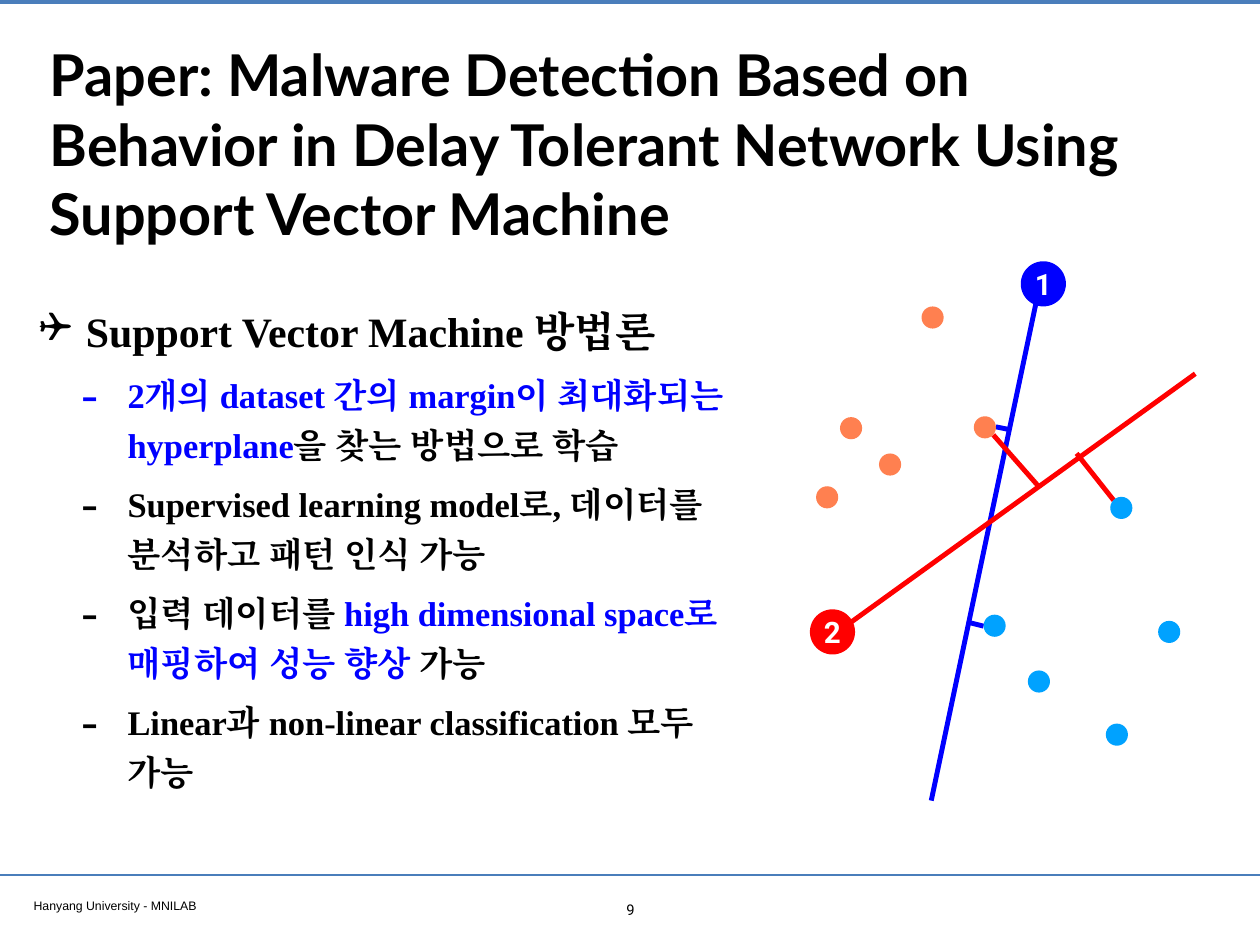
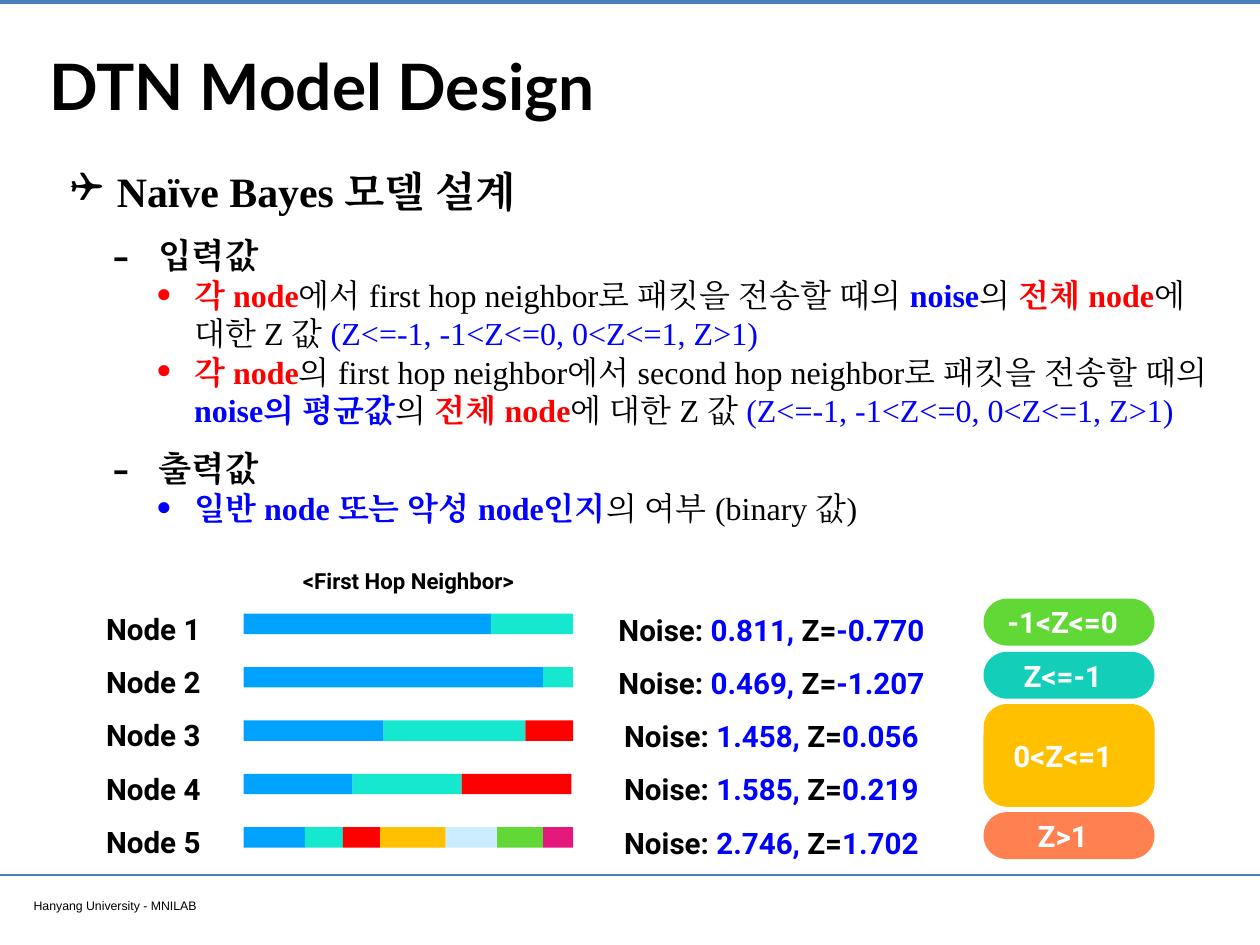
"""Build two slides on malware detection in delay tolerant networks."""
from pptx import Presentation, util as u
from pptx.dml.color import RGBColor
from pptx.enum import shapes, text
from pptx.oxml.ns import qn
from lxml import etree

COLORS = {
    "black": "000000", "white": "FFFFFF", "rule": "4A7EBB",
    "blue": "0000FF", "red": "FF0000", "sky": "00A2FF", "teal": "16E7CF",
    "sea": "13CFB9", "amber": "FFC000", "ice": "CCECFF", "green": "61D836",
    "pink": "E4177D", "coral": "FF8050",
}
SHAPE, ALIGN, ANCHOR = shapes.MSO_SHAPE, text.PP_ALIGN, text.MSO_ANCHOR
INSET = 0.05
BODY_LEVELS = [
    {"size": 34, "left": 0.53, "hang": 0.53, "char": "❑", "pct": 100, "font": "Wingdings",
     "spacing": 1.2, "before": 8},
    {"size": 28, "left": 1, "hang": 0.52, "char": "-", "pct": 145, "font": "Times New Roman",
     "spacing": 1.2, "before": 8},
    {"size": 26, "left": 1.4, "hang": 0.43, "char": "•", "pct": 145, "font": "Times New Roman",
     "spacing": 1, "before": 0},
]


def add_text(s, box, paragraphs, size, font, align=ALIGN.LEFT, anchor=ANCHOR.TOP,
             spacing=1, wrap=True):
    sp = s.shapes.add_textbox(*map(u.Inches, box))
    tf = sp.text_frame
    tf.word_wrap, tf.vertical_anchor = wrap, anchor
    tf.margin_left = tf.margin_right = tf.margin_top = tf.margin_bottom = u.Inches(INSET)
    for i, runs in enumerate(paragraphs):
        p = tf.add_paragraph() if i else tf.paragraphs[0]
        p.alignment, p.line_spacing = align, spacing
        for words, color, bold in runs:
            r = p.add_run()
            r.text = words
            r.font.name, r.font.size, r.font.bold = font, u.Pt(size), bold
            r.font.color.rgb = RGBColor.from_string(COLORS[color])
            etree.SubElement(r._r.get_or_add_rPr(), qn("a:ea"), typeface=font)
    return tf


def add_block(s, kind, box, color, label="", right=0):
    sp = s.shapes.add_shape(kind, *map(u.Inches, box))
    sp.shadow.inherit = False
    sp.fill.solid()
    sp.fill.fore_color.rgb = RGBColor.from_string(COLORS[color])
    sp.line.fill.background()
    if label:
        tf = sp.text_frame
        tf.word_wrap, tf.vertical_anchor = False, ANCHOR.MIDDLE
        tf.margin_left = tf.margin_top = tf.margin_bottom = 0
        tf.margin_right = u.Inches(right)
        tf.text = label
        p = tf.paragraphs[0]
        p.alignment = ALIGN.CENTER
        font = p.runs[0].font
        font.name, font.size, font.bold = "Roboto", u.Pt(24), True
        font.color.rgb = RGBColor.from_string(COLORS["white"])
    return sp


Z_RANGES = ("(Z<=-1, -1<Z<=0, 0<Z<=1, Z>1)", "blue", False)
FRAME_LINES = [
    (0, 0.02, 14.22, 0.02, "rule", 3.2),
    (0, 9.88, 14.22, 9.88, "rule", 2),
]
SLIDES = [
    {
        "title": "Paper: Malware Detection Based on Behavior in Delay Tolerant Network "
                 "Using Support Vector Machine",
        "title_size": 46.8, "title_height": 2.67,
        "lines": [
            (10.51, 9.04, 11.72, 3.29, "blue", 4),
            (9.46, 7.13, 13.49, 4.22, "red", 4),
            (11.72, 5.49, 11.21, 4.91, "red", 4),
            (12.57, 5.65, 12.15, 5.12, "red", 4),
            (11.39, 4.85, 11.24, 4.82, "blue", 4),
            (11.1, 7.07, 10.94, 7.03, "blue", 4),
        ],
        "body_box": (0.39, 3.29, 8.13, 5.85),
        "body": [
            (0, [("Support Vector Machine 방법론", "black", True)]),
            (1, [("2개의 dataset 간의 margin이 최대화되는 hyperplane", "blue", True),
                 ("을 찾는 방법으로 학습", "black", True)]),
            (1, [("Supervised learning model로, 데이터를 분석하고 패턴 인식 가능", "black", True)]),
            (1, [("입력 데이터를 ", "black", True),
                 ("high dimensional space로 매핑하여 성능 향상 ", "blue", True),
                 ("가능", "black", True)]),
            (1, [("Linear과 non-linear classification 모두 가능", "black", True)]),
        ],
    },
    {
        "title": "DTN Model Design",
        "title_size": 52, "title_height": 1.35,
        "lines": [],
        "body_box": (0.74, 1.71, 13.28, 4.56),
        "body": [
            (0, [("Naïve Bayes 모델 설계", "black", True)]),
            (1, [("입력값", "black", True)]),
            (2, [("각 node", "red", True),
                 ("에서 first hop neighbor로 패킷을 전송할 때의 ", "black", False),
                 ("noise", "blue", True), ("의 ", "black", False),
                 ("전체 node", "red", True), ("에 대한 Z 값 ", "black", False), Z_RANGES]),
            (2, [("각 node", "red", True),
                 ("의 first hop neighbor에서 second hop neighbor로 패킷을 전송할 때의 ",
                  "black", False),
                 ("noise의 평균값", "blue", True), ("의 ", "black", False),
                 ("전체 node", "red", True), ("에 대한 Z 값 ", "black", False), Z_RANGES]),
            (1, [("출력값", "black", True)]),
            (2, [("일반 node 또는 악성 node인지", "blue", True),
                 ("의 여부 (binary 값)", "black", False)]),
        ],
    },
]

prs = Presentation()
prs.slide_width, prs.slide_height = u.Inches(14.22), u.Inches(10.67)

for content in SLIDES:
    s = prs.slides.add_slide(prs.slide_layouts[6])
    for *ends, color, width in FRAME_LINES + content["lines"]:
        line = s.shapes.add_connector(shapes.MSO_CONNECTOR.STRAIGHT, *map(u.Inches, ends))
        line.line.color.rgb = RGBColor.from_string(COLORS[color])
        line.line.width = u.Pt(width)
        etree.SubElement(line._element.spPr, qn("a:effectLst"))
    add_text(s, (0.33, 10.09, 5.46, 0.26), [[("Hanyang University - MNILAB", "black", False)]],
             10, "Arial")
    add_text(s, (0.51, 0.28, 13.21, content["title_height"]),
             [[(content["title"], "black", True)]],
             content["title_size"], "Lato", anchor=ANCHOR.MIDDLE)
    tf = add_text(s, content["body_box"], [runs for _, runs in content["body"]],
                  28, "Times New Roman")
    for i, (p, (level, _)) in enumerate(zip(tf.paragraphs, content["body"])):
        style = BODY_LEVELS[level]
        p.level, p.line_spacing = level, style["spacing"]
        p.space_before = u.Pt(style["before"] if i else 0)
        pPr = p._p.get_or_add_pPr()
        pPr.set("marL", str(u.Inches(style["left"])))
        pPr.set("indent", str(-u.Inches(style["hang"])))
        etree.SubElement(pPr, qn("a:buSzPct"), val=str(style["pct"] * 1000))
        etree.SubElement(pPr, qn("a:buFont"), typeface=style["font"])
        etree.SubElement(pPr, qn("a:buChar"), char=style["char"])
        for r in p.runs:
            r.font.size = u.Pt(style["size"])

svm, dtn = prs.slides

add_text(svm, (6.92, 10.12, 0.39, 0.31), [[("9", "black", False)]], 12, "Roboto", ALIGN.CENTER)
DOTS = {
    "sky": [(12.53, 5.61), (11.1, 6.94), (11.6, 7.57), (13.07, 7.01), (12.48, 8.17)],
    "coral": [(9.48, 4.71), (9.21, 5.49), (9.92, 5.12), (10.99, 4.7), (10.4, 3.46)],
}
for color, corners in DOTS.items():
    for x, y in corners:
        add_block(svm, SHAPE.OVAL, (x, y, 0.25, 0.25), color)
for label, x, y, color in [("2", 9.14, 6.88, "red"), ("1", 11.52, 2.95, "blue")]:
    add_block(svm, SHAPE.OVAL, (x, y, 0.51, 0.51), color, label)

NODES = [
    ("0.811", "-0.770", [2.79, 0.93]),
    ("0.469", "-1.207", [3.38, 0.34]),
    ("1.458", "0.056", [1.58, 1.6, 0.54]),
    ("1.585", "0.219", [1.23, 1.23, 1.24]),
    ("2.746", "1.702", [0.69, 0.43, 0.42, 0.74, 0.58, 0.52, 0.34]),
]
HOP_COLORS = ["sky", "teal", "red", "amber", "ice", "green", "pink"]
FIRST_BAR, LAST_BAR = 6.93, 9.34
row_step = (LAST_BAR - FIRST_BAR) / (len(NODES) - 1)
for row, (_, _, widths) in enumerate(NODES):
    x = 2.75
    for width, color in zip(widths, HOP_COLORS):
        add_block(dtn, SHAPE.RECTANGLE, (x, FIRST_BAR + row_step * row, width, 0.23), color)
        x += width

node_names = [[(f"Node {n}", "black", True)] for n in range(1, len(NODES) + 1)]
noise_values = [
    [("Noise: ", "black", True), (f"{noise}, ", "blue", True),
     ("Z=", "black", True), (z, "blue", True)]
    for noise, z, _ in NODES
]
for box, paragraphs, size, spacing, wrap in [
    ((1.08, 6.63, 1.3, 3.14), node_names, 24, 1.5, False),
    ((3.2, 6.35, 2.82, 0.42), [[("<First Hop Neighbor>", "black", True)]], 18, 1, False),
    ((6.73, 6.64, 3.95, 3.14), noise_values, 24, 1.5, True),
]:
    add_text(dtn, box, paragraphs, size, "Roboto", ALIGN.CENTER, ANCHOR.MIDDLE, spacing, wrap)

for label, y, height, color, rounding in [
    ("-1<Z<=0", 6.76, 0.53, "green", 0.5),
    ("Z<=-1", 7.36, 0.53, "sea", 0.5),
    ("0<Z<=1", 7.95, 1.16, "amber", 0.23),
    ("Z>1", 9.17, 0.53, "coral", 0.5),
]:
    pill = add_block(dtn, SHAPE.ROUNDED_RECTANGLE, (11.1, y, 1.93, height), color, label, 0.14)
    pill.adjustments[0] = rounding

prs.save("out.pptx")
